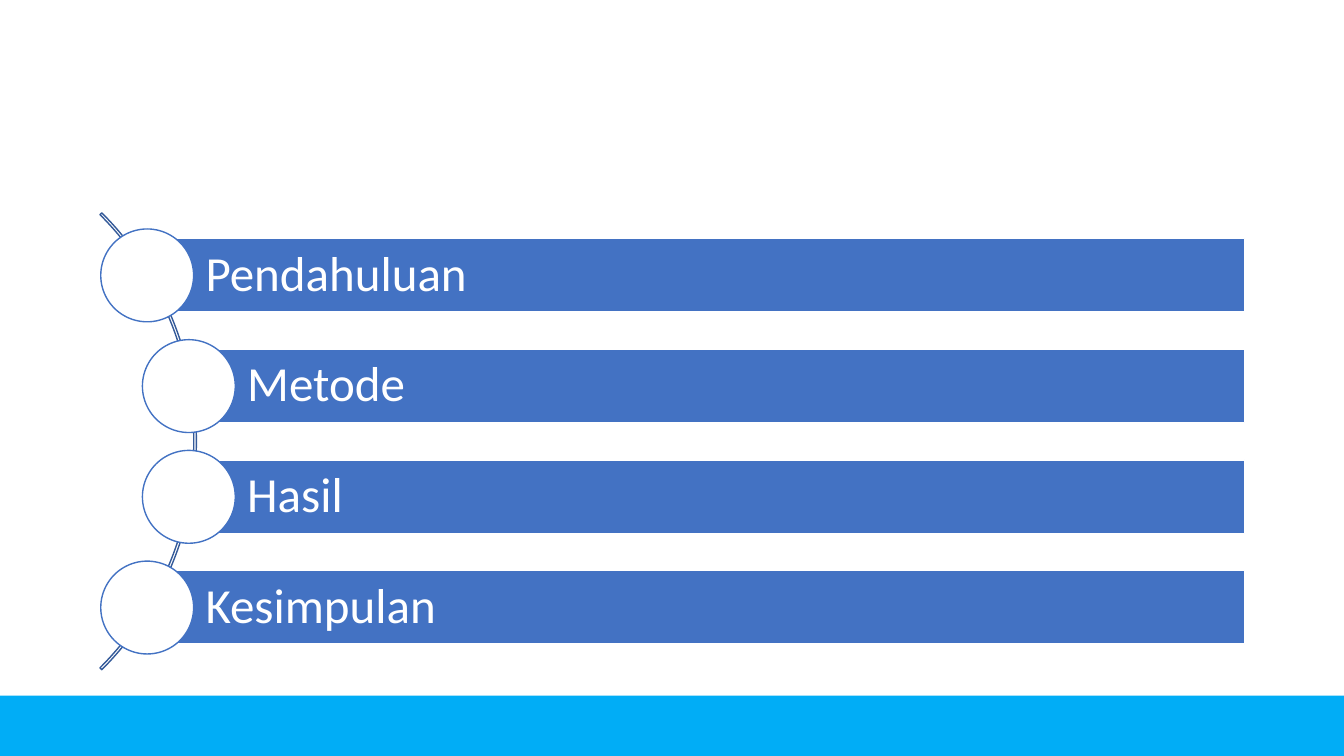
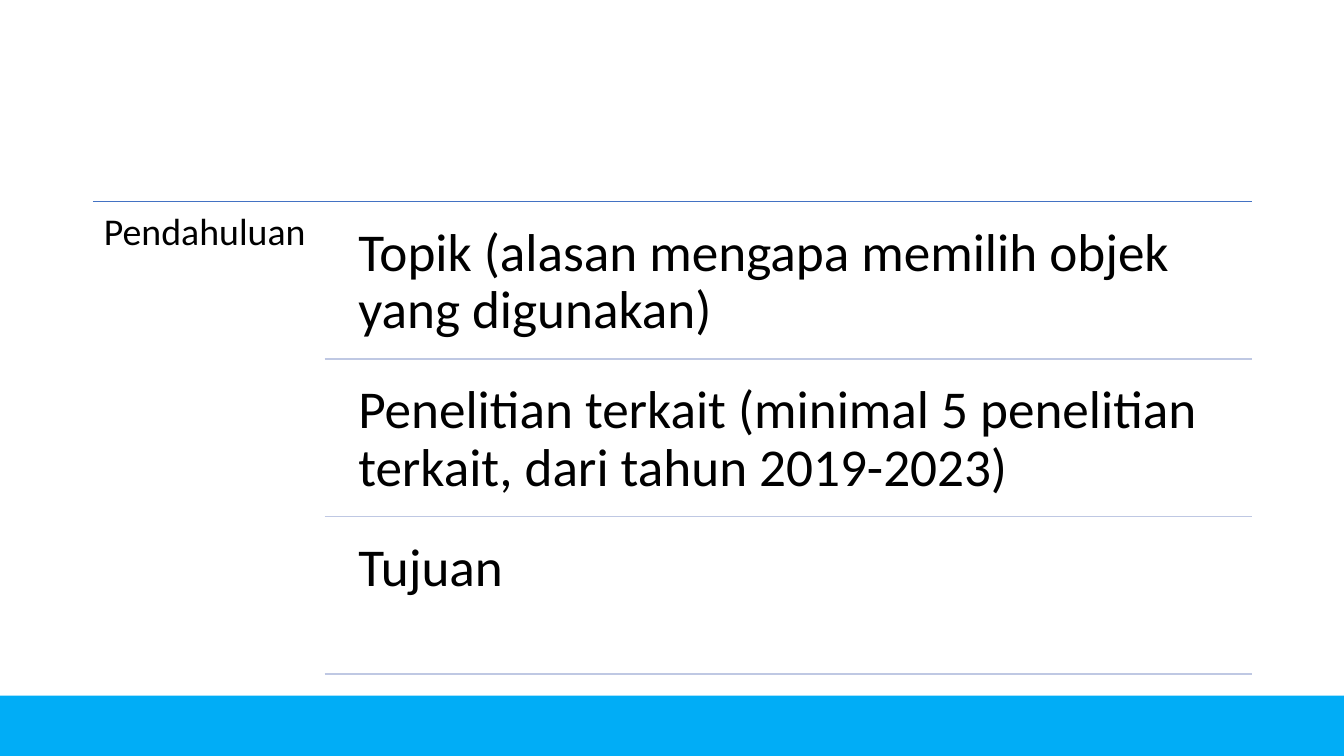
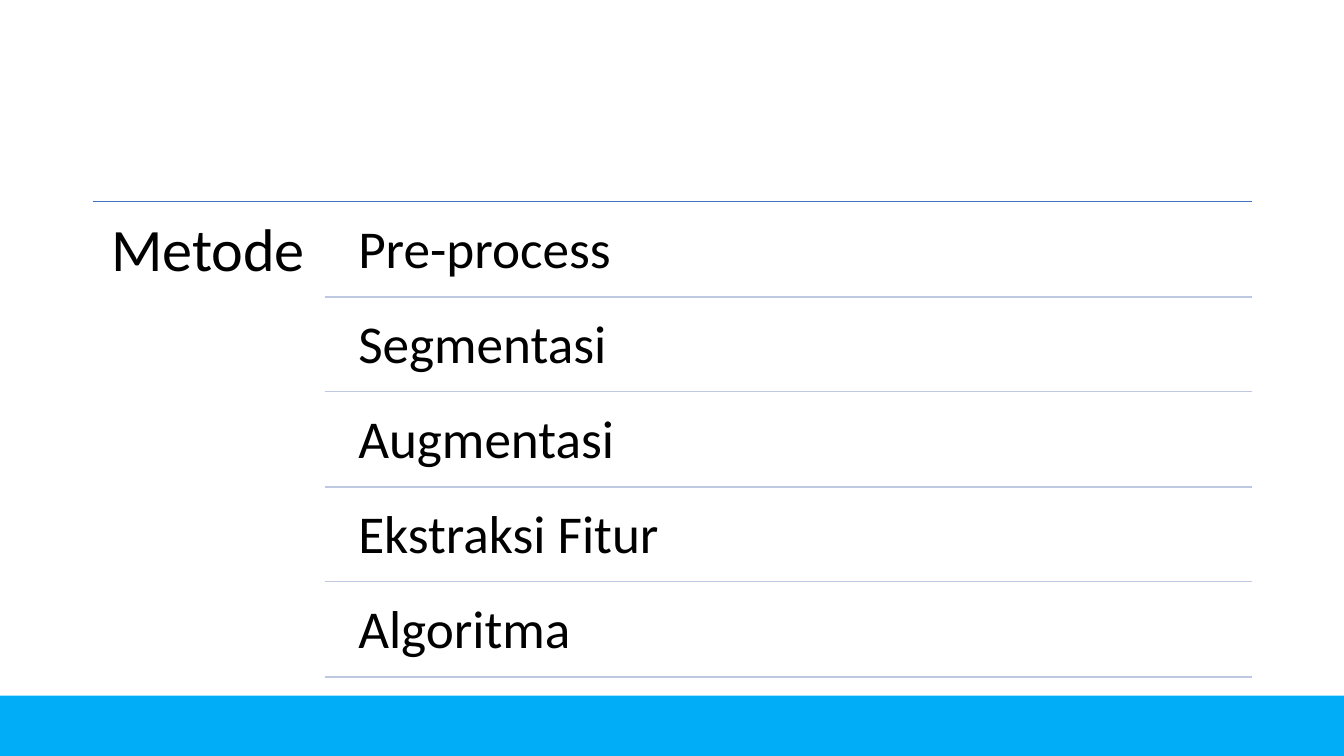
import math
from pptx import Presentation
from pptx import util as u
from pptx.dml.color import RGBColor
from pptx.enum import shapes, text
from pptx.oxml.ns import qn
from lxml import etree

BLUE, WHITE, BLACK = "4372C3", "FFFFFF", "000000"
ARC_BLUE, PALE_BLUE, SKY = "345A99", "BFC8E3", "01ADF6"
FONT = "Calibri"
WIDTH, HEIGHT = 33.87, 19.05
BODY = (2.34, 5.08, 29.21, 12.09)  # left, top, width, height in cm


def colour(code):
    return RGBColor.from_string(code)


def lengths(*values):
    return [u.Cm(round(value, 2)) for value in values]


def write(shape, words, size, code, insets, anchor=text.MSO_ANCHOR.TOP):
    frame = shape.text_frame
    frame.word_wrap = True
    frame.vertical_anchor = anchor
    (frame.margin_left, frame.margin_top,
     frame.margin_right, frame.margin_bottom) = lengths(*insets)
    para = frame.paragraphs[0]
    para.alignment = text.PP_ALIGN.LEFT
    para.line_spacing = 0.9
    span = para.add_run()
    span.text = words
    span.font.name, span.font.size = FONT, u.Pt(size)
    span.font.color.rgb = colour(code)


def add_label(page, box, words, **style):
    write(page.shapes.add_textbox(*lengths(*box)), words, **style)


def add_figure(page, kind, box, fill=None, line=None):
    figure = page.shapes.add_shape(kind, *lengths(*box))
    figure.shadow.inherit = False
    if fill:
        figure.fill.solid()
        figure.fill.fore_color.rgb = colour(fill)
    else:
        figure.fill.background()
    if line:
        figure.line.color.rgb = colour(line)
        figure.line.width = u.Pt(1)
    else:
        figure.line.fill.background()
    return figure


def add_rule(page, left, right, y, code):
    rule = page.shapes.add_connector(
        shapes.MSO_CONNECTOR.STRAIGHT, *lengths(left, y, right, y))
    rule.line.color.rgb = colour(code)
    rule.line.width = u.Pt(1)
    etree.SubElement(rule._element.spPr, qn("a:effectLst"))


def new_page(deck):
    page = deck.slides.add_slide(deck.slide_layouts[6])
    band = 1.52
    add_figure(page, shapes.MSO_SHAPE.RECTANGLE,
               (0, HEIGHT - band, WIDTH, band), fill=SKY)
    return page


def add_agenda(page, box, topics):
    """Bars whose round markers sit along an arc left of the box."""
    left, top, width, height = box
    right = left + width - 0.18
    centre_x, centre_y = left - 5.53, top + height / 2
    outer, track = 8.14, 8.07
    step, bar, marker = 2.79, 1.85, 2.34

    # Arc from 315 to 45 degrees
    arc = add_figure(page, shapes.MSO_SHAPE.BLOCK_ARC,
                     (centre_x - outer, centre_y - outer, 2 * outer, 2 * outer),
                     line=ARC_BLUE)
    for index, value in enumerate((189, 27, 0.004)):
        arc.adjustments[index] = value

    # Bars and markers
    for index, topic in enumerate(topics):
        offset = (index - (len(topics) - 1) / 2) * step
        x, y = centre_x + math.sqrt(track ** 2 - offset ** 2), centre_y + offset
        strip = add_figure(page, shapes.MSO_SHAPE.RECTANGLE,
                           (x, y - bar / 2, right - x, bar), BLUE, WHITE)
        write(strip, topic, size=35, code=WHITE, insets=(1.47, 0.25, 0.25, 0.25),
              anchor=text.MSO_ANCHOR.MIDDLE)
        add_figure(page, shapes.MSO_SHAPE.OVAL,
                   (x - marker / 2, y - marker / 2, marker, marker), WHITE, BLUE)


def add_outline(page, box, heading, size, inset, items):
    """Heading in the left fifth, equal ruled rows in the rest."""
    left, top, width, height = box
    right, column = left + width, width / 5
    indent = width * 0.015
    row = height / (len(items) * 1.05 + 0.05)
    gap = row * 0.05

    # Heading
    add_rule(page, left, right, top, BLUE)
    add_label(page, (left, top, column, height), heading,
              size=size, code=BLACK, insets=[inset] * 4)

    # Rows
    text_left = left + column + indent
    for index, item in enumerate(items):
        y = top + gap + index * (row + gap)
        add_label(page, (text_left, y, right - text_left, row), item,
                  size=38, code=BLACK, insets=[0.41] * 4)
        add_rule(page, left + column, right, y + row, PALE_BLUE)


def main():
    deck = Presentation()
    deck.slide_width, deck.slide_height = lengths(WIDTH, HEIGHT)
    add_agenda(new_page(deck), BODY,
               ["Pendahuluan", "Metode", "Hasil", "Kesimpulan"])
    add_outline(new_page(deck), BODY, "Pendahuluan", 27, 0.28, [
        "Topik (alasan mengapa memilih objek yang digunakan)",
        "Penelitian terkait (minimal 5 penelitian terkait, dari tahun 2019-2023)",
        "Tujuan"])
    add_outline(new_page(deck), BODY, "Metode", 43, 0.46, [
        "Pre-process", "Segmentasi", "Augmentasi", "Ekstraksi Fitur",
        "Algoritma"])
    deck.save("out.pptx")


if __name__ == "__main__":
    main()
